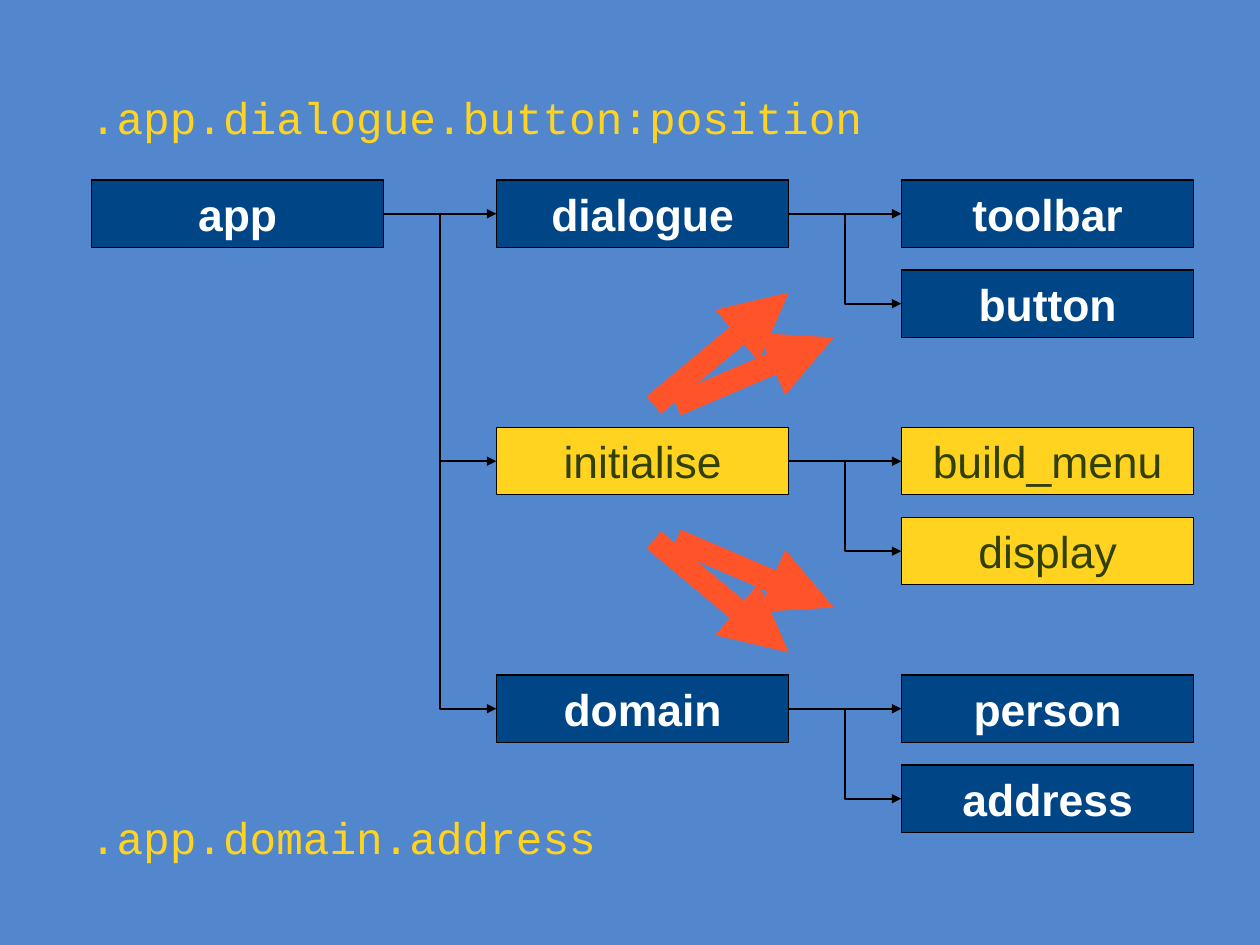
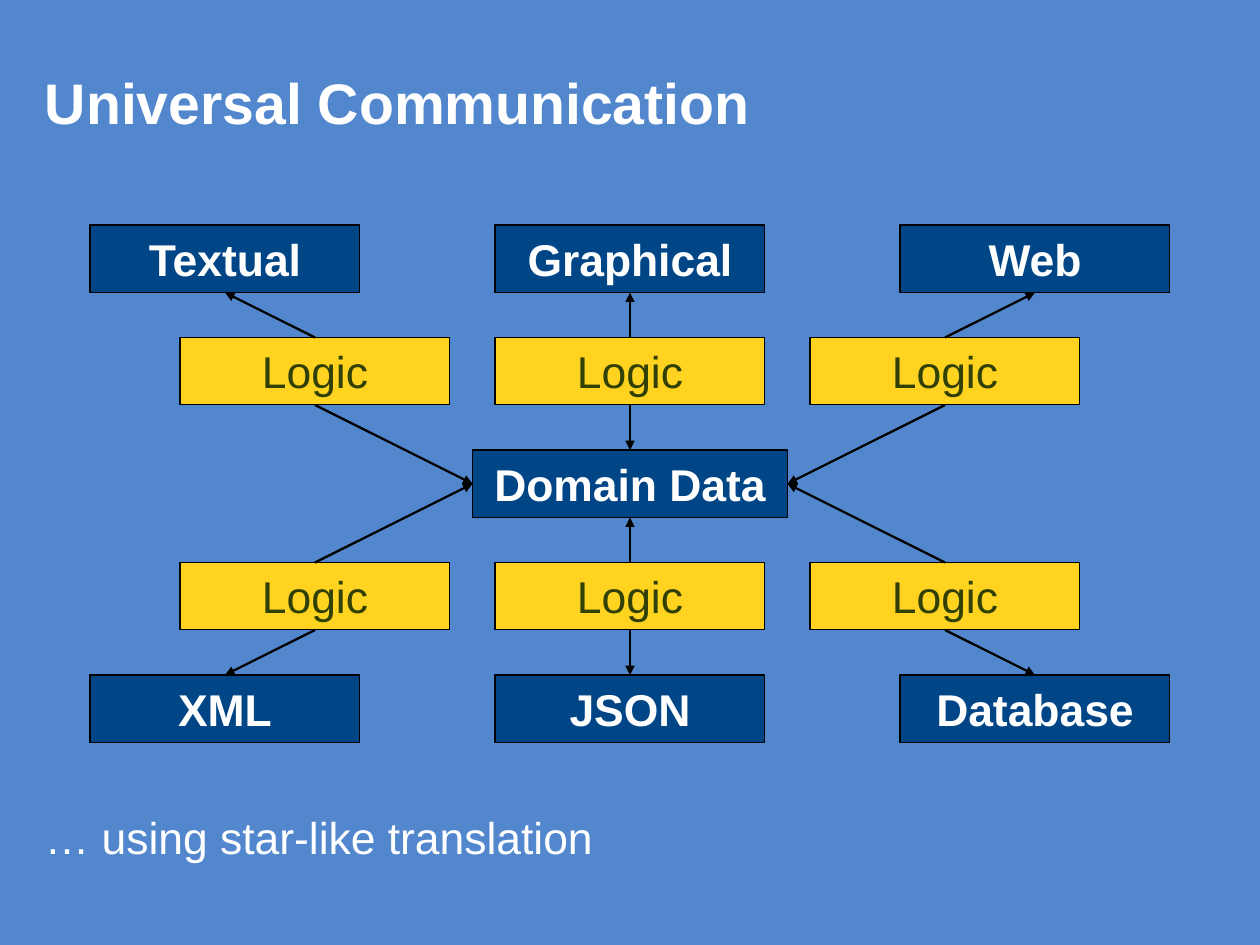
from pptx import Presentation
from pptx import util as u
from pptx.dml.color import RGBColor
from pptx.enum import shapes, text
from pptx.oxml.ns import qn
from lxml import etree

BACKGROUND = RGBColor(0x52, 0x87, 0xCE)
BLUE = RGBColor(0x00, 0x45, 0x86)
YELLOW = RGBColor(0xFF, 0xD3, 0x20)
ORANGE = RGBColor(0xFF, 0x54, 0x29)
GREEN = RGBColor(0x31, 0x40, 0x04)
WHITE = RGBColor(0xFF, 0xFF, 0xFF)
BLACK = RGBColor(0, 0, 0)
STRAIGHT = shapes.MSO_CONNECTOR.STRAIGHT
ELBOW = shapes.MSO_CONNECTOR.ELBOW
TOP, LEFT, BOTTOM, RIGHT = range(4)
BOX_H = 1.5


def box(s, label, x, y, w, fill=BLUE):
    """Draw a bold blue data box or a plain yellow logic box."""
    sp = s.shapes.add_shape(shapes.MSO_SHAPE.RECTANGLE, u.Cm(x), u.Cm(y), u.Cm(w), u.Cm(BOX_H))
    sp.shadow.inherit = False
    sp.fill.solid()
    sp.fill.fore_color.rgb = fill
    sp.line.color.rgb = BLACK
    sp.line.width = 0
    tf = sp.text_frame
    tf.margin_left = tf.margin_top = tf.margin_right = tf.margin_bottom = 0
    tf.vertical_anchor = text.MSO_ANCHOR.MIDDLE
    p = tf.paragraphs[0]
    p.text = label
    p.alignment = text.PP_ALIGN.CENTER
    p.font.name = "Arial"
    p.font.size = u.Pt(28)
    p.font.bold = fill == BLUE
    p.font.color.rgb = WHITE if fill == BLUE else GREEN
    return sp


def arrow(s, kind, start=None, end=None, points=(0, 0, 0, 0), color=BLACK, width=1.42):
    """Draw an arrow between two (box, side) pairs or along given points."""
    c = s.shapes.add_connector(kind, *[u.Cm(v) for v in points])
    if start and end:
        c.begin_connect(*start)
        c.end_connect(*end)
    c.line.color.rgb = color
    c.line.width = u.Pt(width)
    spPr = c.element.spPr
    etree.SubElement(spPr.find(qn("a:ln")), qn("a:tailEnd"), type="triangle")
    etree.SubElement(spPr, qn("a:effectLst"))


prs = Presentation()
prs.slide_width, prs.slide_height = u.Cm(28), u.Cm(21)
fill = prs.slide_master.background.fill
fill.solid()
fill.fore_color.rgb = BACKGROUND
blank = prs.slide_layouts[6]
tree, star = [prs.slides.add_slide(blank) for _ in range(2)]

# Slide 1: object tree, one branch every 5.5 cm
X, Y, W = 2.03, 4, 6.5
COL_STEP, BRANCH_STEP, LEAF_STEP = 9, 5.5, 2
branches = [
    ("dialogue", ["toolbar", "button"], BLUE),
    ("initialise", ["build_menu", "display"], YELLOW),
    ("domain", ["person", "address"], BLUE),
]
app = box(tree, "app", X, Y, W)
for i, (name, leaves, color) in enumerate(branches):
    y = Y + i * BRANCH_STEP
    branch = box(tree, name, X + COL_STEP, y, W, color)
    arrow(tree, ELBOW, (app, RIGHT), (branch, LEFT))
    for j, leaf_name in enumerate(leaves):
        leaf = box(tree, leaf_name, X + 2 * COL_STEP, y + j * LEAF_STEP, W, color)
        arrow(tree, ELBOW, (branch, RIGHT), (leaf, LEFT))

# Thick arrows, mirrored about the middle of the slide
MIDDLE = 10.5
for sign in (-1, 1):
    for x1, x2, rise in [(14.53, 17.53, 4), (15.03, 18.53, 3)]:
        arrow(tree, STRAIGHT, points=(x1, MIDDLE + sign * 1.5, x2, MIDDLE + sign * rise),
              color=ORANGE, width=14.17)

# Slide 2: star of formats around the domain data
domain = box(star, "Domain Data", 10.5, 10, 7)
rows = [
    (["Textual", "Graphical", "Web"], 5, 7.5, BOTTOM, TOP),
    (["XML", "JSON", "Database"], 15, 12.5, TOP, BOTTOM),
]
for names, y, logic_y, inner, outer in rows:
    for i, (name, domain_side) in enumerate(zip(names, [LEFT, outer, RIGHT])):
        fmt = box(star, name, 2 + 9 * i, y, 6)
        logic = box(star, "Logic", 4 + 7 * i, logic_y, 6, YELLOW)
        arrow(star, STRAIGHT, (logic, outer), (fmt, inner))
        arrow(star, STRAIGHT, (logic, inner), (domain, domain_side))

# Titles and captions
captions = [
    (tree, ".app.dialogue.button:position", 2, 2, 24, "Courier New", 28, YELLOW, False),
    (tree, ".app.domain.address", 2, 18, 24, "Courier New", 28, YELLOW, False),
    (star, "Universal Communication", 1, 1.5, 26, "Arial", 36, WHITE, True),
    (star, "… using star-like translation", 1, 18, 26, "Arial", 28, WHITE, False),
]
for s, caption, x, y, w, font, size, color, bold in captions:
    tf = s.shapes.add_textbox(u.Cm(x), u.Cm(y), u.Cm(w), u.Cm(2)).text_frame
    tf.word_wrap = True
    tf.margin_left = tf.margin_top = tf.margin_right = tf.margin_bottom = 0
    p = tf.paragraphs[0]
    p.text = caption
    p.font.name = font
    p.font.size = u.Pt(size)
    p.font.bold = bold
    p.font.color.rgb = color

prs.save("out.pptx")
